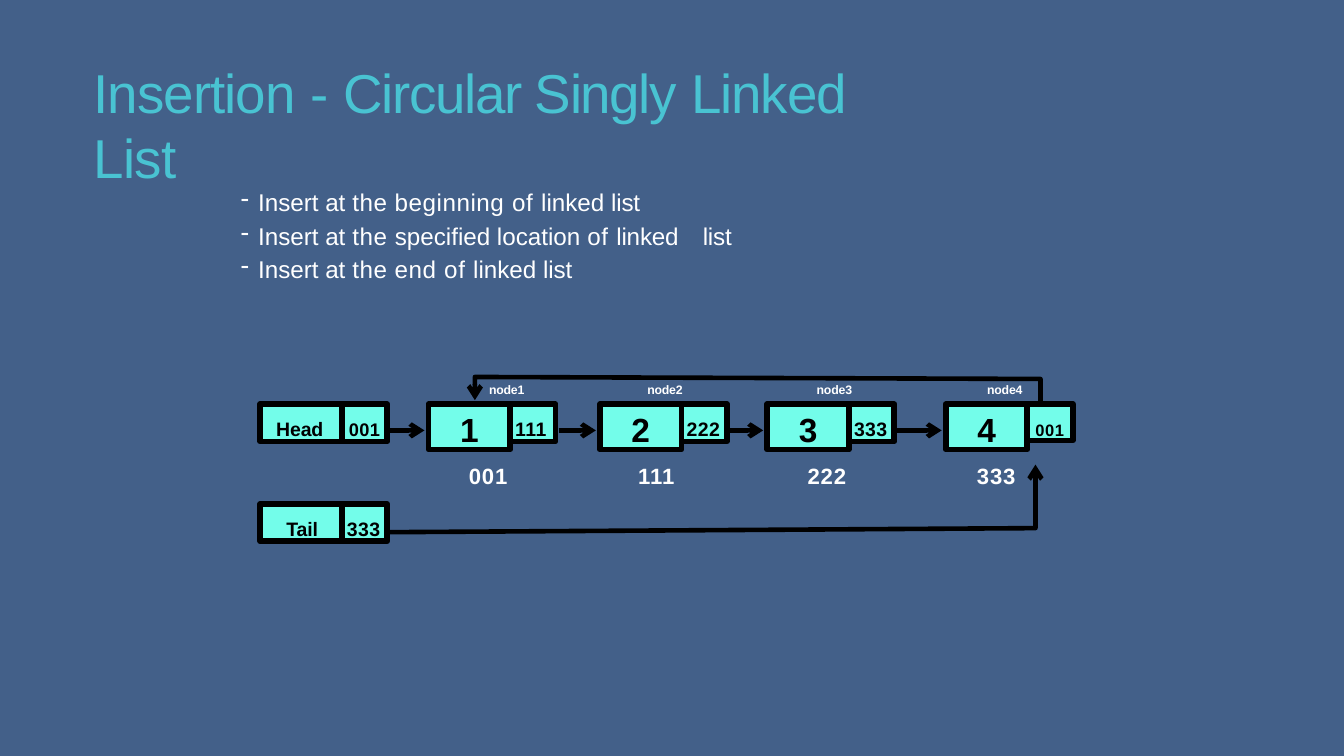
from lxml.etree import SubElement
from pptx import Presentation
from pptx.dml.color import RGBColor
from pptx.enum.shapes import MSO_CONNECTOR, MSO_SHAPE
from pptx.enum.text import MSO_ANCHOR, MSO_AUTO_SIZE, PP_ALIGN
from pptx.oxml.ns import qn
from pptx.util import Inches, Pt

BACKGROUND, TITLE, CELL = "436089", "49C3D2", "73FDEA"
BLACK, WHITE = "000000", "FFFFFF"


def write(shape, paragraphs, size, color, inset=0.01, before=0.8, indent=0.01,
          bold=True, align=PP_ALIGN.LEFT):
    """Fill a shape with paragraphs, each a list of (text, letter spacing) runs."""
    frame = shape.text_frame
    frame.word_wrap = True
    frame.auto_size = MSO_AUTO_SIZE.NONE
    frame.vertical_anchor = MSO_ANCHOR.TOP
    frame.margin_left = frame.margin_right = frame.margin_bottom = 0
    frame.margin_top = Inches(inset)
    for index, runs in enumerate(paragraphs):
        paragraph = frame.add_paragraph() if index else frame.paragraphs[0]
        paragraph.alignment = align
        paragraph.space_before = Pt(before)
        paragraph._p.get_or_add_pPr().set("marL", str(Inches(indent)))
        for text, spacing in runs:
            run = paragraph.add_run()
            run.text = text
            run.font.name = "Arial"
            run.font.size = Pt(size)
            run.font.bold = bold
            run.font.color.rgb = RGBColor.from_string(color)
            run._r.get_or_add_rPr().set("spc", str(round(spacing * 100)))


def add_cell(left, top, width, height, text, spacing, size=13.9, **layout):
    """Add one outlined cell of a node or of the head and tail pointers."""
    cell = slide.shapes.add_shape(MSO_SHAPE.RECTANGLE, Inches(left), Inches(top),
                                  Inches(width), Inches(height))
    cell.shadow.inherit = False
    cell.fill.solid()
    cell.fill.fore_color.rgb = RGBColor.from_string(CELL)
    cell.line.color.rgb = RGBColor.from_string(BLACK)
    cell.line.width = Pt(4.12)
    write(cell, [[(text, spacing)]], size, BLACK, **layout)


presentation = Presentation()
presentation.slide_width = Inches(13.33)
presentation.slide_height = Inches(7.5)
slide = presentation.slides.add_slide(presentation.slide_layouts[5])
slide.background.fill.solid()
slide.background.fill.fore_color.rgb = RGBColor.from_string(BACKGROUND)

# Title
title = slide.shapes.title
title.left, title.top = Inches(0.92), Inches(0.57)
title.width, title.height = Inches(8.34), Inches(0.67)
write(title, [[("Insertion ", -0.7), ("- ", 0), ("Circular Singly ", -1),
               ("Linked ", -0.8), ("List", -0.5)]],
      39.1, TITLE, before=0.6, bold=False)

# Kinds of insertion
insertions = slide.shapes.add_textbox(Inches(2.39), Inches(1.81), Inches(4.89), Inches(1.01))
write(insertions, [
    [("Insert at ", 0), ("the beginning ", 0.4), ("of ", 0.5), ("linked ", 0), ("list", -0.1)],
    [("Insert at ", 0), ("the ", 0.4), ("specified location ", 0), ("of ", 0.5),
     ("linked\tlist", -0.1)],
    [("Insert at ", 0), ("the end ", 0.4), ("of ", 0.5), ("linked ", 0), ("list", -0.1)],
], 17.3, WHITE, inset=0.05, before=3.3, indent=0.17, bold=False)
for paragraph in insertions.text_frame.paragraphs:
    properties = paragraph._p.get_or_add_pPr()
    properties.set("indent", str(-Inches(0.17)))
    SubElement(properties, qn("a:buChar"), char="-")
    tabs = SubElement(properties, qn("a:tabLst"))
    for position in (0.18, 4.58):
        SubElement(tabs, qn("a:tab"), pos=str(Inches(position)), algn="l")

# Nodes with their value, next pointer, address and name
VALUE_WIDTH, POINTER_WIDTH, NODE_TOP = 0.81, 0.45, 4.01
POINTER = dict(spacing=0.3, inset=0.13, before=9.7, indent=0.05)
LAST_POINTER = dict(spacing=0.4, size=11.8, inset=0.16, before=11.5, indent=0.08)
node_lefts = [4.25, 5.95, 7.61, 9.38]
name_lefts = [4.84, 6.41, 8.09, 9.78]
addresses = ["001", "111", "222", "333"]
for index, (left, name_left, address) in enumerate(zip(node_lefts, name_lefts, addresses)):
    last = index == len(node_lefts) - 1
    add_cell(left, NODE_TOP, VALUE_WIDTH, 0.45, str(index + 1), 0.9, size=23.9,
             inset=0.05, before=3.5, indent=0, align=PP_ALIGN.CENTER)
    add_cell(left + VALUE_WIDTH, NODE_TOP, POINTER_WIDTH, 0.36 if last else 0.37,
             addresses[(index + 1) % len(addresses)],
             **(LAST_POINTER if last else POINTER))
    for text, label_left, label_top, width, height, size, spacing in (
            (address, 4.64 + 1.68 * index, 4.58, 0.41, 0.28, 15.8, 0.6),
            (f"node{index + 1}", name_left, 3.78, 0.39, 0.16, 8.8, -0.1)):
        label = slide.shapes.add_textbox(Inches(label_left), Inches(label_top),
                                         Inches(width), Inches(height))
        write(label, [[(text, spacing)]], size, WHITE)

# Head and tail pointers
HEAD_POINTER = dict(spacing=0.3, size=13, inset=0.14, before=10.4, indent=0.07)
for name, indent, top, address, pointer in (
        ("Head", 0.16, NODE_TOP, addresses[0], HEAD_POINTER),
        ("Tail", 0.26, 5, addresses[-1], POINTER)):
    add_cell(2.58, top, VALUE_WIDTH, 0.37, name, -0.1, inset=0.13, before=9.7, indent=indent)
    add_cell(2.58 + VALUE_WIDTH, top, POINTER_WIDTH, 0.37, address, **pointer)

# Arrows between neighbours, from the tail, and from the last node to the first
arrows = []
starts = [3.87] + [left + 1.29 for left in node_lefts[:-1]]
for start, left in zip(starts, node_lefts):
    arrows.append(slide.shapes.add_connector(
        MSO_CONNECTOR.STRAIGHT, Inches(start), Inches(4.27), Inches(left - 0.04), Inches(4.27)))
tail_route = [(3.86, 5.28), (10.27, 5.24), (10.27, 4.61)]
circle_route = [(10.32, 3.98), (10.32, 3.76), (4.71, 3.74), (4.71, 3.97)]
for route in (tail_route, circle_route):
    points = [(Inches(x), Inches(y)) for x, y in route]
    builder = slide.shapes.build_freeform(*points[0])
    builder.add_line_segments(points[1:], close=False)
    arrow = builder.convert_to_shape()
    arrow.fill.background()
    arrows.append(arrow)
for arrow in arrows:
    arrow.line.color.rgb = RGBColor.from_string(BLACK)
    arrow.line.width = Pt(3.3)
    properties = arrow._element.spPr
    SubElement(properties.find(qn("a:ln")), qn("a:tailEnd"), type="arrow", w="med", len="med")
    SubElement(properties, qn("a:effectLst"))

presentation.save("out.pptx")
